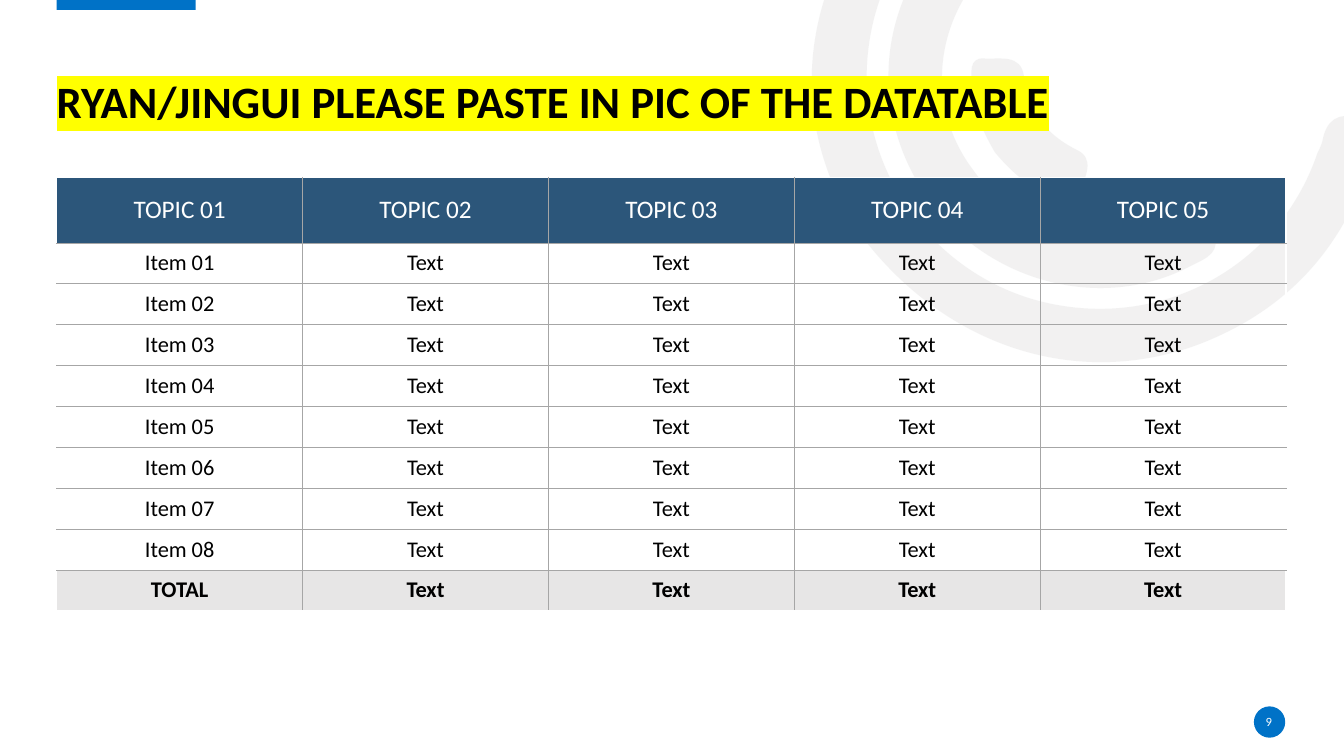
from dataclasses import dataclass
from math import cos, radians, sin

from lxml.etree import SubElement
from pptx import Presentation
from pptx.dml.color import RGBColor
from pptx.enum.shapes import MSO_SHAPE
from pptx.enum.text import MSO_ANCHOR, MSO_AUTO_SIZE, PP_ALIGN
from pptx.oxml.ns import qn
from pptx.shapes.autoshape import Shape
from pptx.slide import Slide
from pptx.table import Table, _Cell
from pptx.text.text import TextFrame, _Run
from pptx.util import Cm, Pt

Point = tuple[float, float]


@dataclass(frozen=True)
class Theme:
    font: str = "Calibri"
    blue: str = "0072C7"
    navy: str = "2C567A"
    pale: str = "E7E6E6"
    rule: str = "A6A6A6"
    white: str = "FFFFFF"
    black: str = "000000"
    mark: str = "FFFF00"
    title: int = 32
    head: int = 18
    body: int = 16
    small: int = 9


@dataclass(frozen=True)
class Box:
    left: float
    top: float
    width: float
    height: float

    def lengths(self) -> tuple[Cm, Cm, Cm, Cm]:
        return Cm(self.left), Cm(self.top), Cm(self.width), Cm(self.height)


@dataclass(frozen=True)
class Badge:
    kind: MSO_SHAPE
    box: Box


@dataclass(frozen=True)
class Swirl:
    box: Box
    points: list[Point]


@dataclass(frozen=True)
class Row:
    words: list[str]
    height: float
    size: int
    ink: str
    fill: str = ""
    bold: bool = False


THEME = Theme()
INCH = 2.54
UNITS = 1000
TURN = 144.2
TITLE = Box(1.43, 0.67, 30.96, 2.57)
GRID = Box(1.43, 4.47, 30.98, 10.92)
PAGE = Box(31.57, 17.92, 0.81, 0.51)

BADGES = [
    Badge(MSO_SHAPE.RECTANGLE, Box(1.43, -0.05, 3.5, 0.3)),
    Badge(MSO_SHAPE.OVAL, Box(31.6, 17.8, 0.79, 0.79)),
]

SWIRLS = [
    Swirl(Box(20.65, -5.13, 12.32, 15.24), [
        (8.51, 2.29),
        (7.99, 1.49), (7.87, 0.5), (8.38, -0.5),
        (8.9, -1.52), (9.76, -2.03), (10.9, -2.07),
        (11.05, -2.07), (11.21, -2.1), (11.31, -1.95),
        (11.44, -1.75), (11.27, -1.54), (10.98, -1.54),
        (9.67, -1.54), (8.65, -0.59), (8.6, 0.68),
        (8.56, 1.81), (9.36, 2.81), (10.46, 3.02),
        (11.6, 3.24), (12.7, 2.61), (13.07, 1.52),
        (13.09, 1.48), (13.11, 1.44), (13.12, 1.4),
        (13.16, 1.19), (13.27, 1.11), (13.49, 1.17),
        (13.73, 1.24), (13.67, 1.41), (13.61, 1.56),
        (13.34, 2.45), (12.78, 3.07), (11.91, 3.41),
        (10.7, 3.87), (9.36, 3.45), (8.51, 2.29),
    ]),
    Swirl(Box(22.89, -1.98, 5.41, 10.82), [
        (9.22, 1.99),
        (8.62, 1.15), (8.69, 0.07), (9.4, -0.68),
        (9.51, -0.79), (9.62, -0.95), (9.8, -0.78),
        (9.95, -0.64), (9.97, -0.5), (9.79, -0.32),
        (9.25, 0.26), (9.2, 1.08), (9.65, 1.68),
        (10.08, 2.29), (10.88, 2.49), (11.61, 2.15),
        (11.82, 2.05), (11.93, 2.12), (12.03, 2.29),
        (12.13, 2.5), (11.97, 2.56), (11.83, 2.63),
        (10.96, 3.1), (9.83, 2.82), (9.22, 1.99),
    ]),
    Swirl(Box(24.89, 0.94, 1.98, 4.65), [
        (9.87, 1.51),
        (9.75, 1.3), (9.64, 1.07), (9.64, 0.82),
        (9.64, 0.73), (9.61, 0.57), (9.76, 0.58),
        (9.92, 0.59), (10.13, 0.53), (10.16, 0.76),
        (10.21, 1.1), (10.36, 1.32), (10.67, 1.48),
        (10.88, 1.57), (10.76, 1.76), (10.72, 1.89),
        (10.68, 2.06), (10.55, 1.98), (10.45, 1.94),
        (10.21, 1.87), (10.03, 1.7), (9.87, 1.51),
    ]),
]

ROWS = [
    Row([f"TOPIC {n:02}" for n in range(1, 6)], 1.65, THEME.head, THEME.white, THEME.navy),
    *[Row([f"Item {n:02}"] + ["Text"] * 4, 1.03, THEME.body, THEME.black) for n in range(1, 9)],
    Row(["TOTAL"] + ["Text"] * 4, 1.03, THEME.body, THEME.black, THEME.pale, True),
]


def unturn(point: Point, box: Box) -> tuple[int, int]:
    a, b = cos(radians(TURN)), sin(radians(TURN))
    x = point[0] * INCH - box.left - box.width / 2
    y = point[1] * INCH - box.top - box.height / 2
    return (round((x * a + y * b + box.width / 2) * UNITS),
            round((y * a - x * b + box.height / 2) * UNITS))


def paint(shape: Shape, color: str) -> None:
    shape.shadow.inherit = False
    shape.fill.solid()
    shape.fill.fore_color.rgb = RGBColor.from_string(color)
    shape.line.fill.background()


def draw_swirl(slide: Slide, swirl: Swirl) -> None:
    spots = [unturn(point, swirl.box) for point in swirl.points]
    pen = slide.shapes.build_freeform(*spots[0], scale=Cm(1 / UNITS))
    pen.add_line_segments(spots[1:], close=True)
    shape = pen.convert_to_shape()
    shape.left, shape.top, shape.width, shape.height = swirl.box.lengths()
    shape.rotation = TURN
    paint(shape, THEME.pale)
    props = shape._element.spPr
    SubElement(props.find(f"{qn('a:solidFill')}/{qn('a:srgbClr')}"), qn("a:alpha"), val="53000")
    route = next(props.iter(qn("a:path")))
    route.set("w", str(round(swirl.box.width * UNITS)))
    route.set("h", str(round(swirl.box.height * UNITS)))
    for node, (x, y) in zip(route.iter(qn("a:pt")), spots):
        node.set("x", str(x))
        node.set("y", str(y))
    lines = route.findall(qn("a:lnTo"))
    for i in range(0, len(lines), 3):
        curve = SubElement(route, qn("a:cubicBezTo"))
        lines[i].addprevious(curve)
        for line in lines[i:i + 3]:
            curve.append(line[0])
            route.remove(line)


def write(frame: TextFrame, text: str, size: int, ink: str, align: PP_ALIGN, bold: bool = False) -> _Run:
    para = frame.paragraphs[0]
    para.alignment = align
    run = para.add_run()
    run.text = text
    run.font.name, run.font.size, run.font.bold = THEME.font, Pt(size), bold
    run.font.color.rgb = RGBColor.from_string(ink)
    return run


def reset(frame: TextFrame, anchor: MSO_ANCHOR) -> None:
    frame.margin_left = frame.margin_right = frame.margin_top = frame.margin_bottom = 0
    frame.word_wrap = True
    frame.auto_size = MSO_AUTO_SIZE.NONE
    frame.vertical_anchor = anchor


def draw_title(slide: Slide, text: str) -> None:
    title = slide.shapes.title
    title.left, title.top, title.width, title.height = TITLE.lengths()
    reset(title.text_frame, MSO_ANCHOR.BOTTOM)
    run = write(title.text_frame, text, THEME.title, THEME.black, PP_ALIGN.LEFT, True)
    title.text_frame.paragraphs[0].line_spacing = 0.9
    props = run._r.get_or_add_rPr()
    glow = SubElement(props, qn("a:highlight"))
    SubElement(glow, qn("a:srgbClr"), val=THEME.mark)
    props.find(qn("a:solidFill")).addnext(glow)
    slide.shapes._spTree.append(title._element)


def edge(cell: _Cell, side: str, outer: bool) -> None:
    line = SubElement(cell._tc.get_or_add_tcPr(), qn(f"a:ln{side}"), w=str(Pt(1 if outer else 0.5)))
    fill = SubElement(line, qn("a:solidFill"))
    SubElement(fill, qn("a:srgbClr"), val=THEME.white if outer else THEME.rule)


def fill_row(table: Table, r: int, row: Row) -> None:
    table.rows[r].height = Cm(row.height)
    for c, word in enumerate(row.words):
        cell = table.cell(r, c)
        cell.vertical_anchor = MSO_ANCHOR.MIDDLE
        write(cell.text_frame, word, row.size, row.ink, PP_ALIGN.CENTER, row.bold)
        ends = {"L": c == 0, "R": c == len(row.words) - 1, "T": r == 0, "B": r == len(ROWS) - 1}
        for side, outer in ends.items():
            edge(cell, side, outer)
        if row.fill:
            cell.fill.solid()
            cell.fill.fore_color.rgb = RGBColor.from_string(row.fill)
        else:
            cell.fill.background()


def draw_table(slide: Slide) -> None:
    table = slide.shapes.add_table(len(ROWS), len(ROWS[0].words), *GRID.lengths()).table
    table.first_row = table.horz_banding = False
    for r, row in enumerate(ROWS):
        fill_row(table, r, row)


def main() -> None:
    deck = Presentation()
    deck.slide_width, deck.slide_height = Cm(33.87), Cm(19.05)
    slide = deck.slides.add_slide(deck.slide_layouts[5])
    for swirl in SWIRLS:
        draw_swirl(slide, swirl)
    for badge in BADGES:
        paint(slide.shapes.add_shape(badge.kind, *badge.box.lengths()), THEME.blue)
    draw_title(slide, "RYAN/JINGUI PLEASE PASTE IN PIC OF THE DATATABLE")
    draw_table(slide)
    frame = slide.shapes.add_textbox(*PAGE.lengths()).text_frame
    reset(frame, MSO_ANCHOR.MIDDLE)
    write(frame, "9", THEME.small, THEME.white, PP_ALIGN.CENTER)
    deck.save("out.pptx")


if __name__ == "__main__":
    main()
